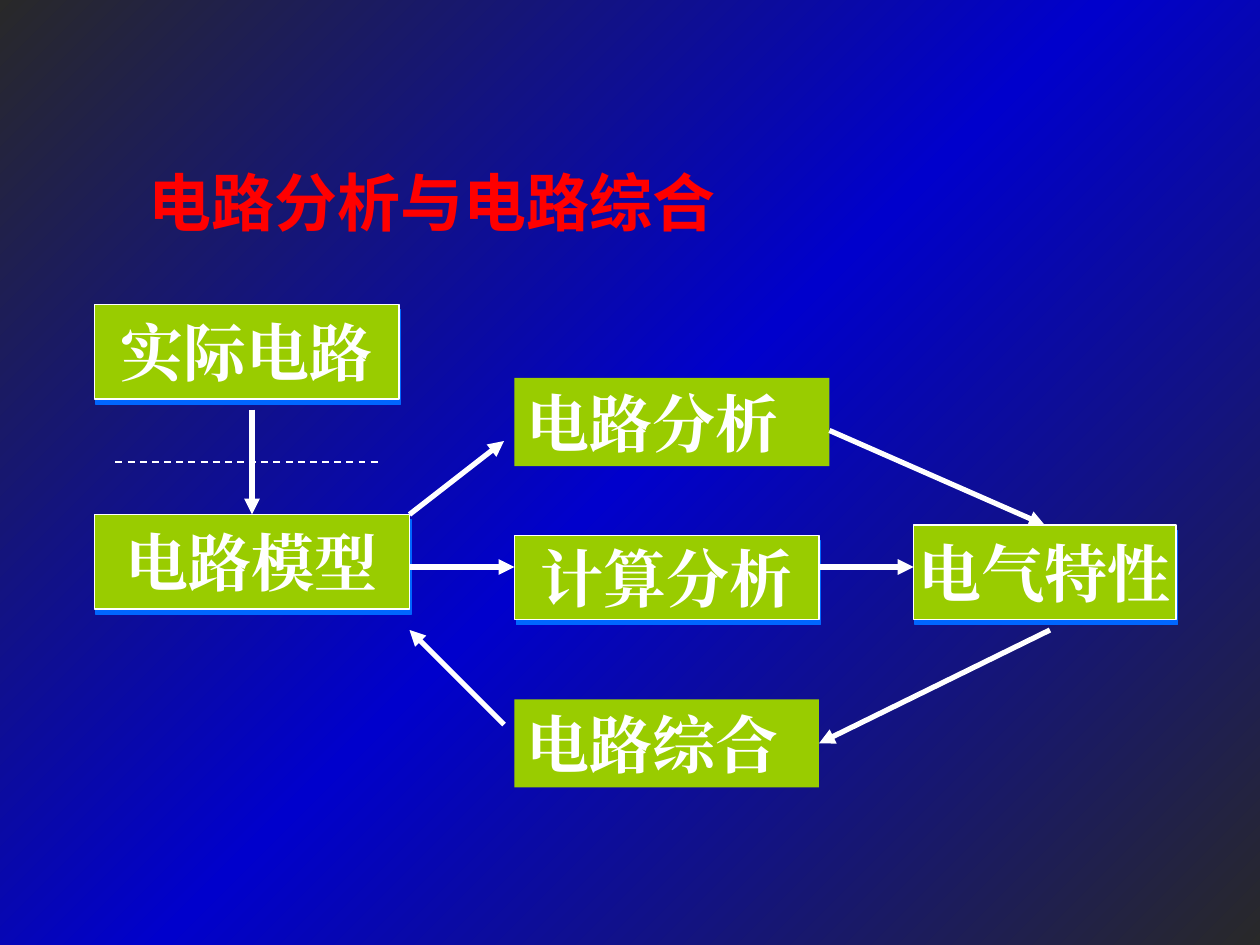
from copy import deepcopy
from dataclasses import dataclass

from lxml.etree import SubElement
from pptx import Presentation
from pptx.dml.color import RGBColor
from pptx.enum.dml import MSO_LINE
from pptx.enum.shapes import MSO_CONNECTOR, MSO_SHAPE
from pptx.enum.text import MSO_ANCHOR, PP_ALIGN
from pptx.oxml.ns import qn
from pptx.util import Pt

TOP, RIGHT = 0, 3  # connection sites of a rectangle


@dataclass(frozen=True)
class Theme:
    edge: str = "292929"
    middle: str = "0000CC"
    title: str = "FF0000"
    box: str = "99CC00"
    shadow: str = "0066FF"
    light: str = "FFFFFF"
    title_font: str = "Noto Sans CJK SC"
    box_font: str = "Times New Roman"
    size: int = 36


THEME = Theme()


def color(code):
    return RGBColor.from_string(code)


def paint_background(page):
    fill = page.background.fill
    fill.gradient()
    fill.gradient_angle = 135
    first = page.element.find(".//" + qn("a:gs"))
    first.addnext(deepcopy(first))
    stops = zip(fill.gradient_stops, (0, 0.5, 1), (THEME.edge, THEME.middle, THEME.edge))
    for stop, position, code in stops:
        stop.position = position
        stop.color.rgb = color(code)


def write(shape, text, font, code, align, anchor, wrap):
    frame = shape.text_frame
    frame.word_wrap = wrap
    frame.vertical_anchor = anchor
    para = frame.paragraphs[0]
    para.alignment = align
    span = para.add_run()
    span.text = text
    span.font.name = font
    span.font.size = Pt(THEME.size)
    span.font.bold = True
    span.font.color.rgb = color(code)
    # Chinese characters take the East Asian typeface
    SubElement(span.font._element, qn("a:ea"), typeface=font)


def add_title(page, text, left, top, width, height):
    box = page.shapes.add_textbox(Pt(left), Pt(top), Pt(width), Pt(height))
    write(box, text, THEME.title_font, THEME.title, PP_ALIGN.LEFT, MSO_ANCHOR.MIDDLE, True)


def add_hard_shadow(box):
    effects = box._element.spPr.find(qn("a:effectLst"))
    shadow = SubElement(effects, qn("a:outerShdw"), blurRad="0", dist=str(Pt(3.2)),
                        dir=str(72 * 60000), algn="ctr", rotWithShape="0")
    SubElement(shadow, qn("a:srgbClr"), val=THEME.shadow)


def add_box(page, text, left, top, width, height, raised):
    box = page.shapes.add_shape(MSO_SHAPE.RECTANGLE, Pt(left), Pt(top), Pt(width), Pt(height))
    box.shadow.inherit = False
    box.fill.solid()
    box.fill.fore_color.rgb = color(THEME.box)
    if raised:
        box.line.color.rgb = color(THEME.light)
        box.line.width = Pt(0.75)
        add_hard_shadow(box)
        layout = PP_ALIGN.CENTER, MSO_ANCHOR.MIDDLE, False
    else:
        box.line.fill.background()
        layout = PP_ALIGN.LEFT, MSO_ANCHOR.TOP, True
    write(box, text, THEME.box_font, THEME.light, *layout)
    return box


def add_line(page, start, end, width):
    points = [Pt(value) for value in (*start, *end)]
    line = page.shapes.add_connector(MSO_CONNECTOR.STRAIGHT, *points)
    line.line.color.rgb = color(THEME.light)
    line.line.width = Pt(width)
    SubElement(line._element.spPr, qn("a:effectLst"))
    return line


def add_arrow(page, start, end):
    arrow = add_line(page, start, end, 3)
    SubElement(arrow.line._get_or_add_ln(), qn("a:tailEnd"), type="triangle")
    return arrow


def main():
    deck = Presentation()
    deck.slide_width, deck.slide_height = Pt(720), Pt(540)
    page = deck.slides.add_slide(deck.slide_layouts[6])
    paint_background(page)
    add_title(page, "电路分析与电路综合", 78, 90, 402, 50.4)

    # Raised boxes: circuit, model, computation and characteristics
    add_box(page, "实际电路", 54, 174, 174, 54, True)
    add_box(page, "电路模型", 54, 294, 180, 54, True)
    add_box(page, "计算分析", 294, 306, 174, 48, True)
    traits = add_box(page, "电气特性", 522, 300, 150, 54, True)

    # Flat boxes: the two directions of work
    add_box(page, "电路分析", 294, 216, 180, 50.4, False)
    synthesis = add_box(page, "电路综合", 294, 399.6, 174, 50.4, False)

    # From the circuit to its model, across the dashed divider
    add_arrow(page, (144, 234), (144, 294))
    divider = add_line(page, (66, 264), (216, 264), 1)
    divider.line.dash_style = MSO_LINE.DASH

    # From the model to the characteristics
    add_arrow(page, (234, 324), (294, 324))
    add_arrow(page, (468, 324), (522, 324))
    add_arrow(page, (234, 294), (288, 252))
    to_traits = add_arrow(page, (474, 246), (600, 300))
    to_traits.end_connect(traits, TOP)

    # Back from the characteristics to the model
    to_synthesis = add_arrow(page, (600, 360), (468, 426))
    to_synthesis.end_connect(synthesis, RIGHT)
    add_arrow(page, (288, 414), (234, 360))

    deck.save("out.pptx")


if __name__ == "__main__":
    main()
